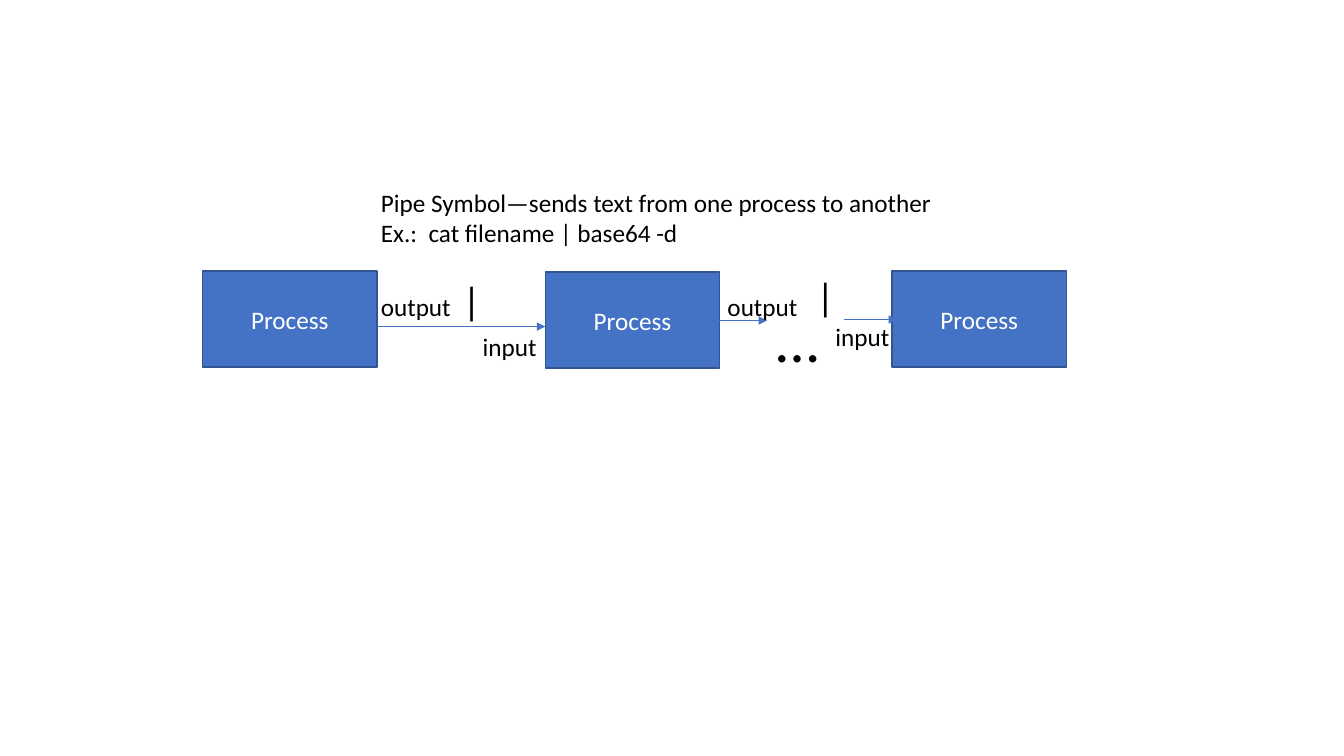
from lxml import etree
from pptx import Presentation
from pptx.dml.color import RGBColor
from pptx.enum.shapes import MSO_CONNECTOR, MSO_SHAPE
from pptx.enum.text import MSO_ANCHOR, MSO_AUTO_SIZE, PP_ALIGN
from pptx.oxml.ns import qn
from pptx.util import Pt

RECTANGLE = MSO_SHAPE.RECTANGLE
STRAIGHT = MSO_CONNECTOR.STRAIGHT
MIDDLE = MSO_ANCHOR.MIDDLE
CENTER = PP_ALIGN.CENTER
GROW = MSO_AUTO_SIZE.SHAPE_TO_FIT_TEXT

COLORS = {"process": "4472C4", "outline": "325491", "light": "FFFFFF", "text": "000000"}
FONT = "Calibri"


def color(name):
    return RGBColor.from_string(COLORS[name])


def style_text(frame, size, color_name):
    for para in frame.paragraphs:
        for span in para.runs:
            span.font.name = FONT
            span.font.size = Pt(size)
            span.font.color.rgb = color(color_name)


deck = Presentation()
deck.slide_width, deck.slide_height = Pt(960), Pt(540)
page = deck.slides.add_slide(deck.slide_layouts[6])

for left, top in [(144.7, 193.7), (389.5, 194.4), (637.2, 193.7)]:
    process = page.shapes.add_shape(RECTANGLE, Pt(left), Pt(top), Pt(124.6), Pt(68.4))
    process.shadow.inherit = False
    process.fill.solid()
    process.fill.fore_color.rgb = color("process")
    process.line.color.rgb = color("outline")
    process.line.width = Pt(1)
    frame = process.text_frame
    frame.text = "Process"
    frame.vertical_anchor = MIDDLE
    frame.paragraphs[0].alignment = CENTER
    style_text(frame, 18, "light")

for start, end, height in [(269.3, 389.5, 233.3), (487.4, 547.9, 229), (602.6, 640.8, 228.2)]:
    arrow = page.shapes.add_connector(STRAIGHT, Pt(start), Pt(height), Pt(end), Pt(height))
    arrow.line.color.rgb = color("process")
    arrow.line.width = Pt(0.5)
    etree.SubElement(arrow.line._get_or_add_ln(), qn("a:tailEnd"), type="triangle")
    etree.SubElement(arrow._element.spPr, qn("a:effectLst"))

labels = [
    ("…", 547.9, 211.7, 56.2, 60.5, 44),
    ("output", 265, 204.5, 103.7, 28.8, 18),
    ("input", 337.7, 233.3, 103.7, 28.8, 18),
    ("output", 512.6, 204.5, 103.7, 28.8, 18),
    ("input", 589.7, 226.1, 103.7, 28.8, 18),
    ("|", 323.3, 193.7, 51.8, 41, 28),
    ("|", 576, 190.8, 51.8, 41, 28),
    ("Pipe Symbol—sends text from one process to another\nEx.:  cat filename | base64 -d",
     265, 130.3, 420.5, 51.1, 18),
]
for text, left, top, width, height, size in labels:
    box = page.shapes.add_textbox(Pt(left), Pt(top), Pt(width), Pt(height))
    frame = box.text_frame
    frame.word_wrap = True
    frame.auto_size = GROW
    frame.text = text
    style_text(frame, size, "text")

deck.save("out.pptx")
